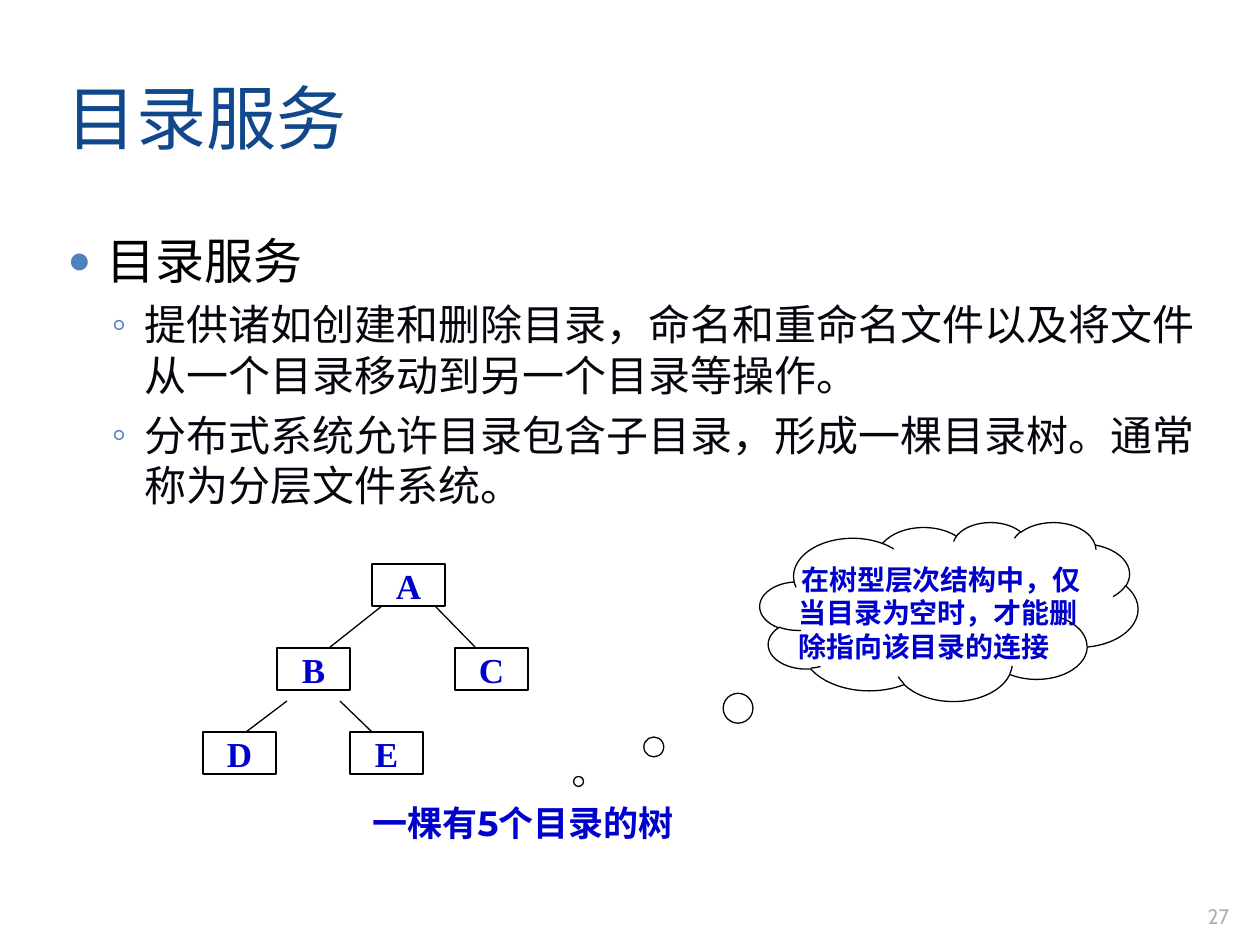
from lxml.etree import SubElement
from pptx import Presentation
from pptx.dml.color import RGBColor
from pptx.enum.shapes import MSO_CONNECTOR, MSO_SHAPE
from pptx.enum.text import MSO_ANCHOR, MSO_AUTO_SIZE, PP_ALIGN
from pptx.oxml.ns import qn
from pptx.util import Emu, Pt

SCALE = 914400 / 126  # EMU per px
THEME = {
    "title": {"name": "Cabin", "size": Pt(40), "color": "11488B"},
    "topic": {"name": "Cabin", "size": Pt(28), "color": "000000"},
    "detail": {"name": "Cabin", "size": Pt(24), "color": "06070E"},
    "node": {"name": "Times New Roman", "size": Pt(20), "bold": True, "color": "0000CC"},
    "caption": {"name": "Montserrat", "size": Pt(20), "bold": True, "color": "0000CC"},
    "thought": {"name": "Montserrat", "size": Pt(16), "bold": True, "color": "0000CC"},
    "number": {"name": "Cabin", "size": Pt(12), "color": "B5B2A2"},
    "line": RGBColor(0, 0, 0),
    "bullet": "4F81BD",
}


def px(*lengths):
    return [Emu(round(n * SCALE)) for n in lengths]


def write(p, text, style, align=PP_ALIGN.LEFT):
    p.alignment = align
    r = p.add_run()
    r.text = text
    for key, value in THEME[style].items():
        if key == "color":
            r.font.color.rgb = RGBColor.from_string(value)
        else:
            setattr(r.font, key, value)
    # East Asian text uses the same typeface
    SubElement(r.font._element, qn("a:ea"), typeface=THEME[style]["name"])


prs = Presentation()
prs.slide_width, prs.slide_height = px(1260, 945)
s = prs.slides.add_slide(prs.slide_layouts[1])
title, body = s.placeholders

# Title
title.left, title.top, title.width, title.height = px(54, 38, 1177, 158)
tf = title.text_frame
tf.auto_size = MSO_AUTO_SIZE.NONE
tf.vertical_anchor = MSO_ANCHOR.MIDDLE
write(tf.paragraphs[0], "目录服务", "title")

# Bulleted list: level, text, style, bullet, bullet size, margin, indent, space before
body.left, body.top, body.width, body.height = px(44, 224, 1177, 662)
tf = body.text_frame
tf.auto_size = MSO_AUTO_SIZE.NONE
topic = ("topic", "●", "80000", 50, -39, 0)
detail = ("detail", "◦", "100000", 88, -33, 5.5)
items = [
    (0, "目录服务", topic),
    (1, "提供诸如创建和删除目录，命名和重命名文件以及将文件从一个目录移动到另一个目录等操作。", detail),
    (1, "分布式系统允许目录包含子目录，形成一棵目录树。通常 称为分层文件系统。", detail),
]
for i, (level, text, (style, bullet, size, margin, indent, before)) in enumerate(items):
    p = tf.add_paragraph() if i else tf.paragraphs[0]
    p.level = level
    pPr = p._p.get_or_add_pPr()
    for key, value in zip(("marL", "indent"), px(margin, indent)):
        pPr.set(key, str(value))
    color = SubElement(pPr, qn("a:buClr"))
    SubElement(color, qn("a:srgbClr"), val=THEME["bullet"])
    SubElement(pPr, qn("a:buSzPct"), val=size)
    SubElement(pPr, qn("a:buChar"), char=bullet)
    p.space_before = Pt(before)
    write(p, text, style)

# Directory tree: boxes
nodes = {"A": (372, 564), "B": (277, 648), "C": (455, 648), "D": (203, 732), "E": (350, 732)}
for name, (x, y) in nodes.items():
    sp = s.shapes.add_shape(MSO_SHAPE.RECTANGLE, *px(x, y, 73, 42))
    sp.shadow.inherit = False
    sp.fill.background()
    sp.line.color.rgb = THEME["line"]
    sp.line.width = Pt(0.75)
    tf = sp.text_frame
    tf.word_wrap = False
    tf.vertical_anchor = MSO_ANCHOR.MIDDLE
    write(tf.paragraphs[0], name, "node", PP_ALIGN.CENTER)

# Directory tree: branches
branches = [(382, 606, 329, 648), (435, 606, 476, 648), (287, 701, 246, 732), (340, 701, 372, 732)]
for ends in branches:
    line = s.shapes.add_connector(MSO_CONNECTOR.STRAIGHT, *px(*ends))
    line.line.color.rgb = THEME["line"]
    line.line.width = Pt(0.75)
    SubElement(line._element.spPr, qn("a:effectLst"))

# Thought cloud
cloud = s.shapes.add_shape(MSO_SHAPE.CLOUD_CALLOUT, *px(760, 522, 378, 179))
cloud.adjustments[0], cloud.adjustments[1] = -0.98, 0.95
cloud.shadow.inherit = False
cloud.fill.background()
cloud.line.color.rgb = THEME["line"]
cloud.line.width = Pt(0.75)

# Text boxes: place, text, style, alignment, anchor, margin, first-line indent
boxes = [
    ((360, 795, 451, 54), "一棵有5个目录的树", "caption", PP_ALIGN.LEFT, MSO_ANCHOR.TOP, 0, 0),
    ((738, 556, 378, 113), "在树型层次结构中，仅当目录为空时，才能删除指向该目录的连接",
     "thought", PP_ALIGN.LEFT, MSO_ANCHOR.TOP, 48, 3),
    ((1187, 869, 63, 66), "27", "number", PP_ALIGN.CENTER, MSO_ANCHOR.BOTTOM, 0, 0),
]
for place, text, style, align, anchor, margin, indent in boxes:
    tf = s.shapes.add_textbox(*px(*place)).text_frame
    tf.word_wrap = True
    tf.vertical_anchor = anchor
    p = tf.paragraphs[0]
    for key, value in zip(("marL", "indent"), px(margin, indent)):
        p._p.get_or_add_pPr().set(key, str(value))
    write(p, text, style, align)

prs.save("out.pptx")
